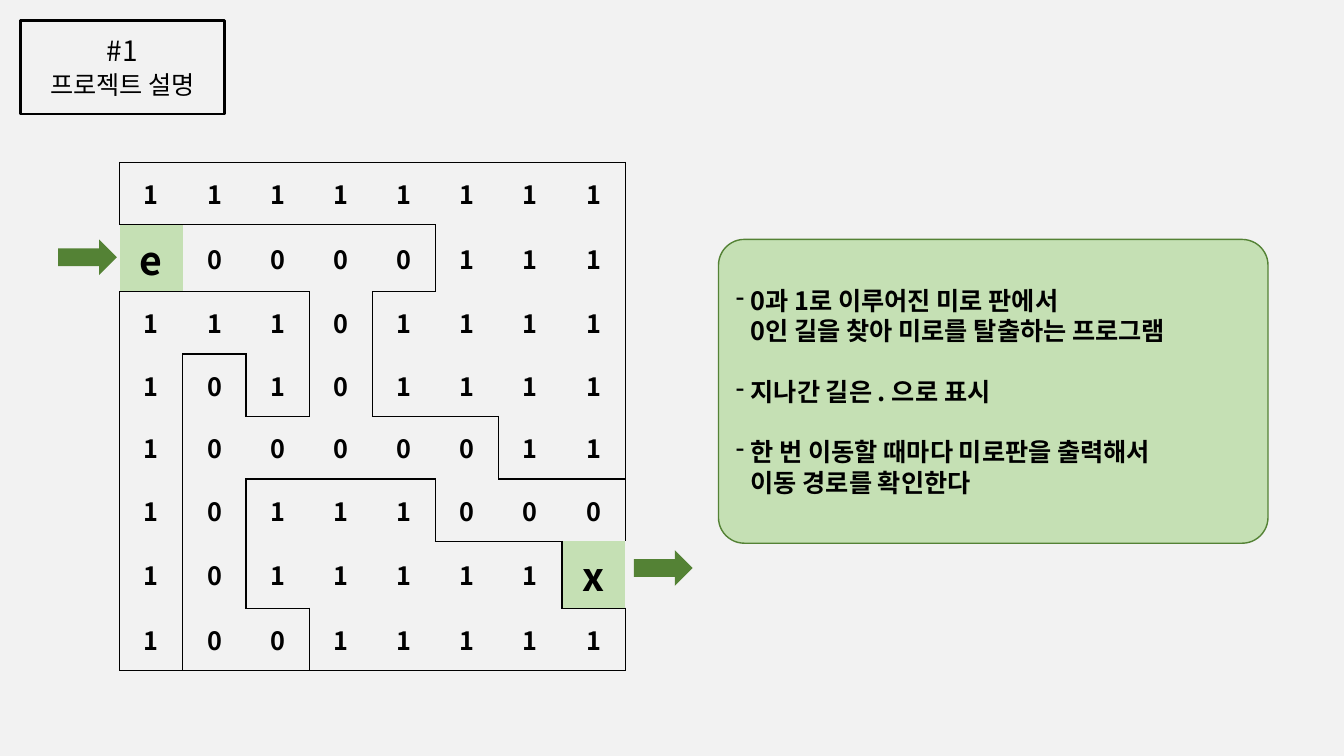
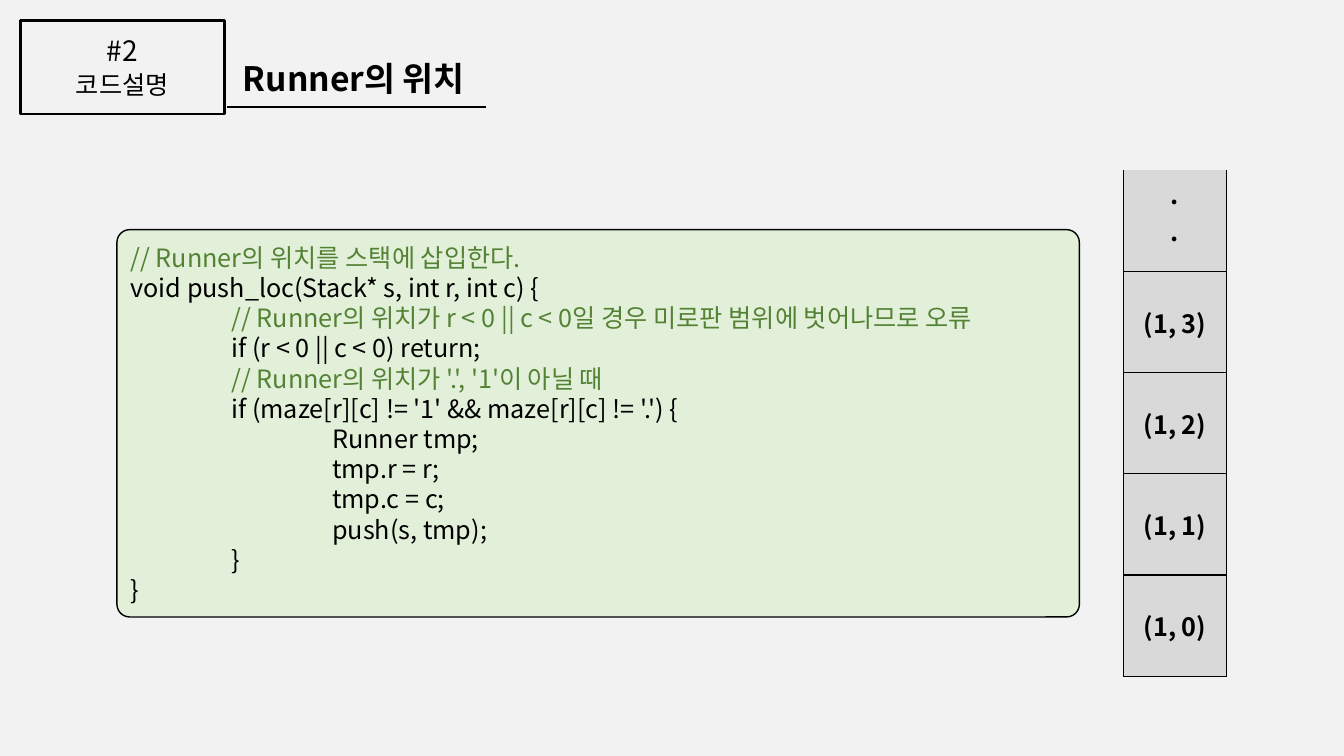
from dataclasses import dataclass

from lxml.etree import SubElement
from pptx import Presentation
from pptx.dml.color import RGBColor
from pptx.enum.shapes import MSO_CONNECTOR, MSO_SHAPE
from pptx.enum.text import MSO_ANCHOR, MSO_AUTO_SIZE, PP_ALIGN
from pptx.oxml.ns import qn
from pptx.util import Pt

COLORS = {
    "page": "F2F2F2",
    "ink": "000000",
    "arrow": "548235",
    "mint": "C5E0B4",
    "code": "E2F0D9",
    "stack": "D9D9D9",
}
KR = "Noto Sans CJK KR"
JP = "Noto Sans CJK JP"
LINE_PITCH = 21.6


@dataclass(frozen=True)
class Box:
    left: float
    top: float
    width: float
    height: float

    def emu(self) -> tuple:
        return Pt(self.left), Pt(self.top), Pt(self.width), Pt(self.height)


@dataclass(frozen=True)
class Section:
    number: str
    caption: str
    caption_font: str


@dataclass(frozen=True)
class CodeLine:
    text: str
    level: int = 0

    @property
    def color(self) -> str:
        return "arrow" if self.text.startswith("//") else "ink"


BADGE = Box(14.4, 14.4, 146, 67)
MAZE = (
    "11111111",
    "e0000111",
    "11101111",
    "10101111",
    "10000011",
    "10111000",
    "1011111x",
    "10011111",
)
MAZE_BOX = Box(85.5, 116, 361.2, 357.12)
DOORS = "ex"
ARROWS = (Box(41.5, 171, 42, 25.5), Box(452.8, 393, 42, 25.5))
RULES = (
    "0과 1로 이루어진 미로 판에서\v0인 길을 찾아 미로를 탈출하는 프로그램",
    "지나간 길은 . 으로 표시",
    "한 번 이동할 때마다 미로판을 출력해서\v이동 경로를 확인한다",
)
CODE = (
    CodeLine("// Runner의 위치를 스택에 삽입한다."),
    CodeLine("void push_loc(Stack* s, int r, int c) {"),
    CodeLine("// Runner의 위치가 r < 0 || c < 0일 경우 미로판 범위에 벗어나므로 오류", 1),
    CodeLine("if (r < 0 || c < 0) return;", 1),
    CodeLine("// Runner의 위치가 '.', '1'이 아닐 때", 1),
    CodeLine("if (maze[r][c] != '1' && maze[r][c] != '.') {", 1),
    CodeLine("Runner tmp;", 2),
    CodeLine("tmp.r = r;", 2),
    CodeLine("tmp.c = c;", 2),
    CodeLine("push(s, tmp);", 2),
    CodeLine("}", 1),
    CodeLine("}"),
)
STACK = (".\n.", "(1, 3)", "(1, 2)", "(1, 1)", "(1, 0)")


def rgb(name: str) -> RGBColor:
    return RGBColor.from_string(COLORS[name])


def write(frame, text: str, *, font: str = KR, size: float = 18, color: str = "ink",
          bold: bool = False, align=PP_ALIGN.LEFT, pitch: float | None = None,
          before: float = 0, indent: float = 0, bullet: str = "") -> None:
    paragraph = frame.paragraphs[-1]
    if paragraph.runs:
        paragraph = frame.add_paragraph()
    paragraph.alignment = align
    paragraph.space_before = Pt(before)
    if pitch:
        paragraph.line_spacing = Pt(pitch)
    properties = paragraph._p.get_or_add_pPr()
    if indent:
        properties.set("marL", str(Pt(indent)))
    if bullet:
        properties.set("indent", str(-Pt(indent)))
        SubElement(properties, qn("a:buChar"), char=bullet)
    for index, part in enumerate(text.split("\v")):
        if index:
            paragraph.add_line_break()
        run = paragraph.add_run()
        run.text = part
        run.font.name = font
        run.font.size = Pt(size)
        run.font.bold = bold
        run.font.color.rgb = rgb(color)
        SubElement(run._r.get_or_add_rPr(), qn("a:ea"), typeface=font)


def add_block(slide, preset, box: Box, fill: str, line: str | None = None,
              corner: float | None = None):
    block = slide.shapes.add_shape(preset, *box.emu())
    block.shadow.inherit = False
    block.fill.solid()
    block.fill.fore_color.rgb = rgb(fill)
    if line:
        block.line.color.rgb = rgb(line)
        block.line.width = Pt(1)
    else:
        block.line.fill.background()
    if corner is not None:
        block.adjustments[0] = corner
    block.text_frame.word_wrap = True
    block.text_frame.vertical_anchor = MSO_ANCHOR.MIDDLE
    return block


def style_cell(cell, fill: str, borders: str) -> None:
    properties = cell._tc.get_or_add_tcPr()
    for side in "LRTB":
        edge = SubElement(properties, qn(f"a:ln{side}"), w=str(Pt(1)))
        if side in borders:
            paint = SubElement(edge, qn("a:solidFill"))
            SubElement(paint, qn("a:srgbClr"), val=COLORS["ink"])
        else:
            SubElement(edge, qn("a:noFill"))
    cell.fill.solid()
    cell.fill.fore_color.rgb = rgb(fill)
    cell.vertical_anchor = MSO_ANCHOR.MIDDLE


def add_grid(slide, rows: int, columns: int, box: Box):
    grid = slide.shapes.add_table(rows, columns, *box.emu()).table
    grid.first_row = False
    grid.horz_banding = False
    for column in grid.columns:
        column.width = Pt(box.width / columns)
    for row in grid.rows:
        row.height = Pt(box.height / rows)
    return grid


def add_section_slide(deck, section: Section):
    slide = deck.slides.add_slide(deck.slide_layouts.get_by_name("Title Only"))
    badge = slide.shapes.title
    badge.left, badge.top, badge.width, badge.height = BADGE.emu()
    badge.line.color.rgb = rgb("ink")
    badge.line.width = Pt(2)
    frame = badge.text_frame
    frame.auto_size = MSO_AUTO_SIZE.NONE
    frame.vertical_anchor = MSO_ANCHOR.MIDDLE
    write(frame, section.number, font=JP, size=20, align=PP_ALIGN.CENTER, pitch=23)
    write(frame, section.caption, font=section.caption_font, align=PP_ALIGN.CENTER, pitch=23)
    return slide


def maze_walls(row: int, column: int) -> str:
    here = MAZE[row][column]
    neighbours = {"L": (row, column - 1), "R": (row, column + 1),
                  "T": (row - 1, column), "B": (row + 1, column)}
    walls = ""
    for side, (r, c) in neighbours.items():
        if 0 <= r < len(MAZE) and 0 <= c < len(MAZE[0]):
            walled = (here == "1") != (MAZE[r][c] == "1")
        else:
            walled = here not in DOORS
        walls += side if walled else ""
    return walls


def add_maze(slide) -> None:
    grid = add_grid(slide, len(MAZE), len(MAZE[0]), MAZE_BOX)
    for r, row in enumerate(MAZE):
        for c, mark in enumerate(row):
            cell = grid.cell(r, c)
            door = mark in DOORS
            style_cell(cell, "mint" if door else "page", maze_walls(r, c))
            write(cell.text_frame, mark, size=28 if door else 18, bold=True,
                  align=PP_ALIGN.CENTER)


def add_stack(slide) -> None:
    grid = add_grid(slide, len(STACK), 1, Box(802.6, 121.6, 73.5, 361.5))
    for index, entry in enumerate(STACK):
        cell = grid.cell(index, 0)
        style_cell(cell, "stack", "LRTB" if index else "LRB")
        if not index:
            cell.vertical_anchor = MSO_ANCHOR.TOP
        for text in entry.split("\n"):
            write(cell.text_frame, text, font=JP, bold=True, align=PP_ALIGN.CENTER)


def add_heading(slide, text: str) -> None:
    heading = slide.shapes.add_textbox(*Box(166.3, 36.7, 237, 38).emu())
    heading.text_frame.word_wrap = True
    heading.text_frame.vertical_anchor = MSO_ANCHOR.MIDDLE
    write(heading.text_frame, text, size=24, bold=True)
    underline = slide.shapes.add_connector(
        MSO_CONNECTOR.STRAIGHT, Pt(162), Pt(76.3), Pt(347.5), Pt(76.3))
    underline.line.color.rgb = rgb("ink")
    underline.line.width = Pt(1.5)
    SubElement(underline._element.spPr, qn("a:effectLst"))


def build_project_slide(deck) -> None:
    slide = add_section_slide(deck, Section("#1", "프로젝트 설명", KR))
    add_maze(slide)
    for arrow in ARROWS:
        add_block(slide, MSO_SHAPE.RIGHT_ARROW, arrow, "arrow")
    summary = add_block(slide, MSO_SHAPE.ROUNDED_RECTANGLE, Box(513.2, 171, 392.5, 217),
                        "mint", "arrow", 0.085)
    for index, rule in enumerate(RULES):
        write(summary.text_frame, rule, bold=True, pitch=LINE_PITCH, indent=10.5,
              bullet="-", before=LINE_PITCH if index else 0)


def build_code_slide(deck) -> None:
    slide = add_section_slide(deck, Section("#2", "코드설명", JP))
    add_heading(slide, "Runner의 위치")
    listing = add_block(slide, MSO_SHAPE.ROUNDED_RECTANGLE, Box(83.5, 164, 687.5, 276.7),
                        "code", "ink", 0.033)
    for line in CODE:
        write(listing.text_frame, line.text, color=line.color, pitch=LINE_PITCH,
              indent=72 * line.level)
    add_stack(slide)


def main() -> None:
    deck = Presentation()
    deck.slide_width, deck.slide_height = Pt(960), Pt(540)
    backdrop = deck.slide_master.background.fill
    backdrop.solid()
    backdrop.fore_color.rgb = rgb("page")
    build_project_slide(deck)
    build_code_slide(deck)
    deck.save("out.pptx")


if __name__ == "__main__":
    main()
